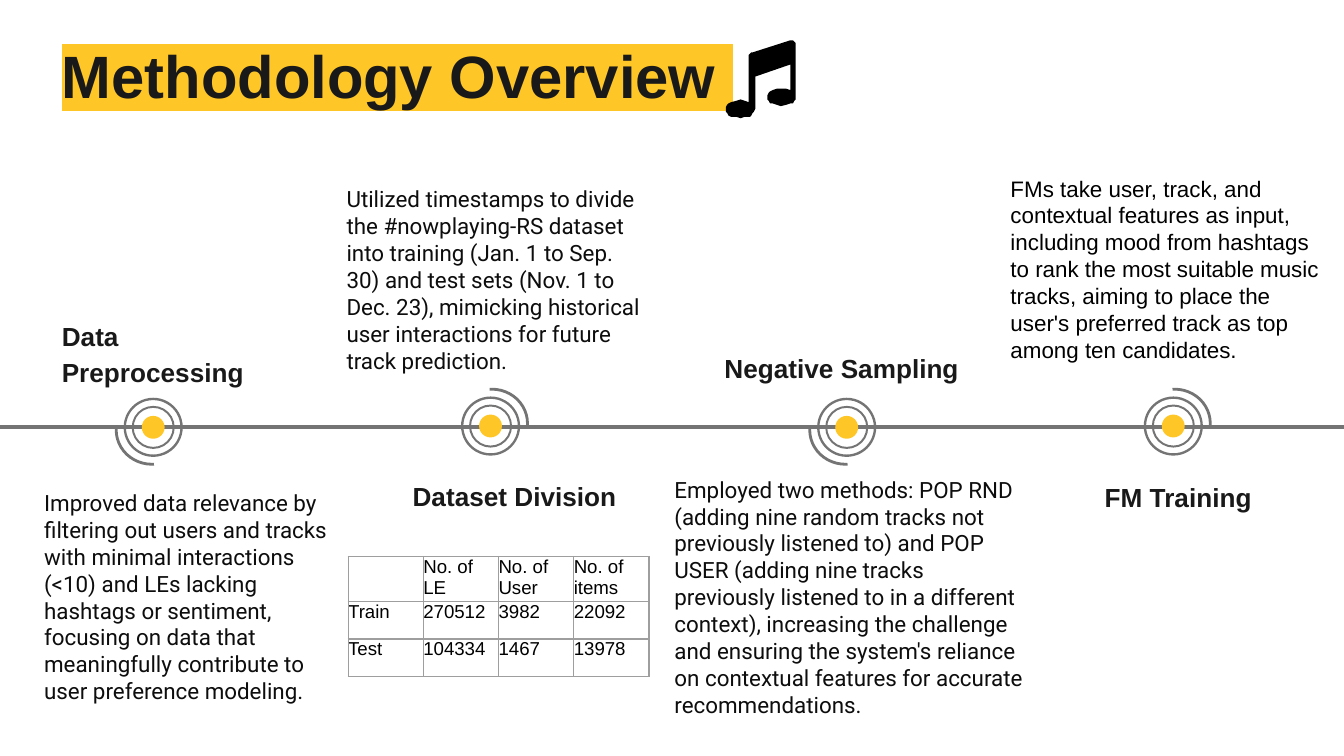
import pptx
import pptx.dml.color
import pptx.enum.shapes
import pptx.oxml
import pptx.oxml.ns
import pptx.util
from pptx.util import Inches

RGBColor = pptx.dml.color.RGBColor
SHAPE = pptx.enum.shapes.MSO_SHAPE
GOLD = RGBColor(0xFF, 0xC6, 0x27)
GREY = RGBColor(0x74, 0x74, 0x74)
INK = RGBColor(0x19, 0x19, 0x19)
BODY = RGBColor(0x0D, 0x0D, 0x0D)
BLACK = RGBColor(0x00, 0x00, 0x00)
BORDER = RGBColor(0x9E, 0x9E, 0x9E)
NS = pptx.oxml.ns.nsdecls("a")

# 16:9 slide
prs = pptx.Presentation()
prs.slide_width, prs.slide_height = Inches(10), Inches(10) * 9 // 16
s = prs.slides.add_slide(prs.slide_layouts[6])


def add_text(box, text, size, color, font="Arial", bold=False, inset=0, spacing=None):
    tf = s.shapes.add_textbox(*[Inches(v) for v in box]).text_frame
    tf.word_wrap = True
    tf.margin_left = tf.margin_right = tf.margin_top = tf.margin_bottom = Inches(inset)
    p = tf.paragraphs[0]
    if spacing:
        p.line_spacing = spacing
    r = p.add_run()
    r.text = text
    r.font.size, r.font.name, r.font.bold = pptx.util.Pt(size), font, bold
    r.font.color.rgb = color
    return r


def add_centred(kind, x, y, w, h, rotation=0, fill=None):
    sp = s.shapes.add_shape(kind, Inches(x - w / 2), Inches(y - h / 2), Inches(w), Inches(h))
    sp.shadow.inherit = False
    sp.rotation = rotation
    if fill is None:
        sp.fill.background()
    else:
        sp.fill.solid()
        sp.fill.fore_color.rgb = fill
        sp.line.fill.background()
    return sp


# Highlighted title; the highlight runs on past the last word
r = add_text((0.46, 0.35, 9.2, 0.48), "Methodology Overview ", 32, INK, bold=True, spacing=0.9)
highlight = pptx.oxml.parse_xml(f'<a:highlight {NS}><a:srgbClr val="{GOLD}"/></a:highlight>')
r.font.fill._xPr.find(pptx.oxml.ns.qn("a:solidFill")).addnext(highlight)

# Timeline
line = s.shapes.add_connector(pptx.enum.shapes.MSO_CONNECTOR.STRAIGHT,
                              Inches(-0.05), Inches(3.18), Inches(10.02), Inches(3.18))
line.line.color.rgb = GREY
line.line.width = pptx.util.Pt(2.25)
line._element.spPr.append(pptx.oxml.parse_xml(f"<a:effectLst {NS}/>"))

# Markers: the outer arc opens below (0) or above (180) the line
for x, y, rotation in [(1.14, 3.18, 0), (6.3, 3.18, 0), (3.65, 3.17, 180), (8.73, 3.17, 180)]:
    side = -1 if rotation else 1
    add_centred(SHAPE.OVAL, x, y, 0.17, 0.17, fill=GOLD)
    for size, thickness in [(0.32, 0.046), (0.44, 0.04)]:
        ring = add_centred(SHAPE.DONUT, x, y, size, size, rotation, GREY)
        ring.adjustments[0] = thickness
    arc = add_centred(SHAPE.ARC, x - 0.01 * side, y + 0.02 * side, 0.53, 0.51, rotation)
    arc.adjustments[0], arc.adjustments[1] = 51.807, 110.278
    arc.line.color.rgb = GREY
    arc.line.width = pptx.util.Pt(1.5)

# Step headings
for box, text in [
    ((0.46, 2.35, 1.52, 0.51), "Data Preprocessing"),
    ((3.07, 3.54, 1.52, 0.24), "Dataset Division"),
    ((5.39, 2.59, 2.05, 0.24), "Negative Sampling"),
    ((8.22, 3.55, 1.93, 0.24), "FM Training"),
]:
    add_text(box, text, 14, INK, bold=True, spacing=1.15)

# Step descriptions
for box, font, color, text in [
    ((0.23, 3.54, 2.41, 1.82), "Roboto", BODY,
     "Improved data relevance by filtering out users and tracks with minimal interactions "
     "(<10) and LEs lacking hashtags or sentiment, focusing on data that meaningfully "
     "contribute to user preference modeling."),
    ((2.48, 1.28, 2.41, 1.62), "Roboto", BODY,
     "Utilized timestamps to divide the #nowplaying-RS dataset into training (Jan. 1 to "
     "Sep. 30) and test sets (Nov. 1 to Dec. 23), mimicking historical user interactions "
     "for future track prediction."),
    ((4.92, 3.44, 2.8, 2.02), "Roboto", BODY,
     "Employed two methods: POP RND (adding nine random tracks not previously listened to) "
     "and POP USER (adding nine tracks previously listened to in a different context), "
     "increasing the challenge and ensuring the system's reliance on contextual features "
     "for accurate recommendations."),
    ((7.42, 1.2, 2.58, 1.62), "Arial", BLACK,
     "FMs take user, track, and contextual features as input, including mood from hashtags "
     "to rank the most suitable music tracks, aiming to place the user's preferred track as "
     "top among ten candidates."),
]:
    add_text(box, text, 12, color, font, inset=0.1)

# Dataset split table
rows = [
    ["", "No. of LE", "No. of User", "No. of items"],
    ["Train", "270512", "3982", "22092"],
    ["Test", "104334", "1467", "13978"],
]
table = s.shapes.add_table(3, 4, Inches(2.59), Inches(4.14), Inches(2.24), Inches(0.84)).table
table.first_row = table.horz_banding = False
for column in table.columns:
    column.width = Inches(0.56)
for i, values in enumerate(rows):
    table.rows[i].height = Inches(0.28)
    for j, value in enumerate(values):
        cell = table.cell(i, j)
        cell.margin_left = cell.margin_right = cell.margin_top = cell.margin_bottom = 0
        for edge in ("lnL", "lnR", "lnT", "lnB"):
            cell._tc.get_or_add_tcPr().append(pptx.oxml.parse_xml(
                f'<a:{edge} {NS} w="9525"><a:solidFill><a:srgbClr val="{BORDER}"/>'
                f"</a:solidFill></a:{edge}>"))
        cell.fill.background()
        p = cell.text_frame.paragraphs[0]
        p.font.size = pptx.util.Pt(10)
        if value:
            r = p.add_run()
            r.text = value
            r.font.size, r.font.name = pptx.util.Pt(10), "Arial"
            r.font.color.rgb = BLACK

# Music note, in hundredths of an inch
note = [
    (588, 30), (560, 39), (559, 39), (558, 40), (557, 41), (557, 76), (554, 75), (551, 74),
    (548, 75), (544, 76), (542, 77), (541, 78), (540, 80), (540, 83), (541, 84), (542, 86),
    (544, 87), (548, 87), (551, 88), (554, 87), (558, 87), (559, 86), (560, 84), (561, 83),
    (562, 81), (562, 57), (588, 48), (588, 67), (585, 66), (578, 66), (575, 67), (573, 68),
    (572, 69), (571, 71), (571, 74), (572, 75), (573, 77), (575, 77), (578, 78), (581, 79),
    (585, 78), (588, 77), (590, 77), (591, 75), (592, 74), (592, 32), (591, 31), (590, 30),
]
builder = s.shapes.build_freeform(*note[0], scale=Inches(0.01))
builder.add_line_segments(note[1:], close=True)
sp = builder.convert_to_shape()
sp.shadow.inherit = False
sp.fill.solid()
sp.fill.fore_color.rgb = BLACK
sp.line.fill.background()

prs.save("out.pptx")
